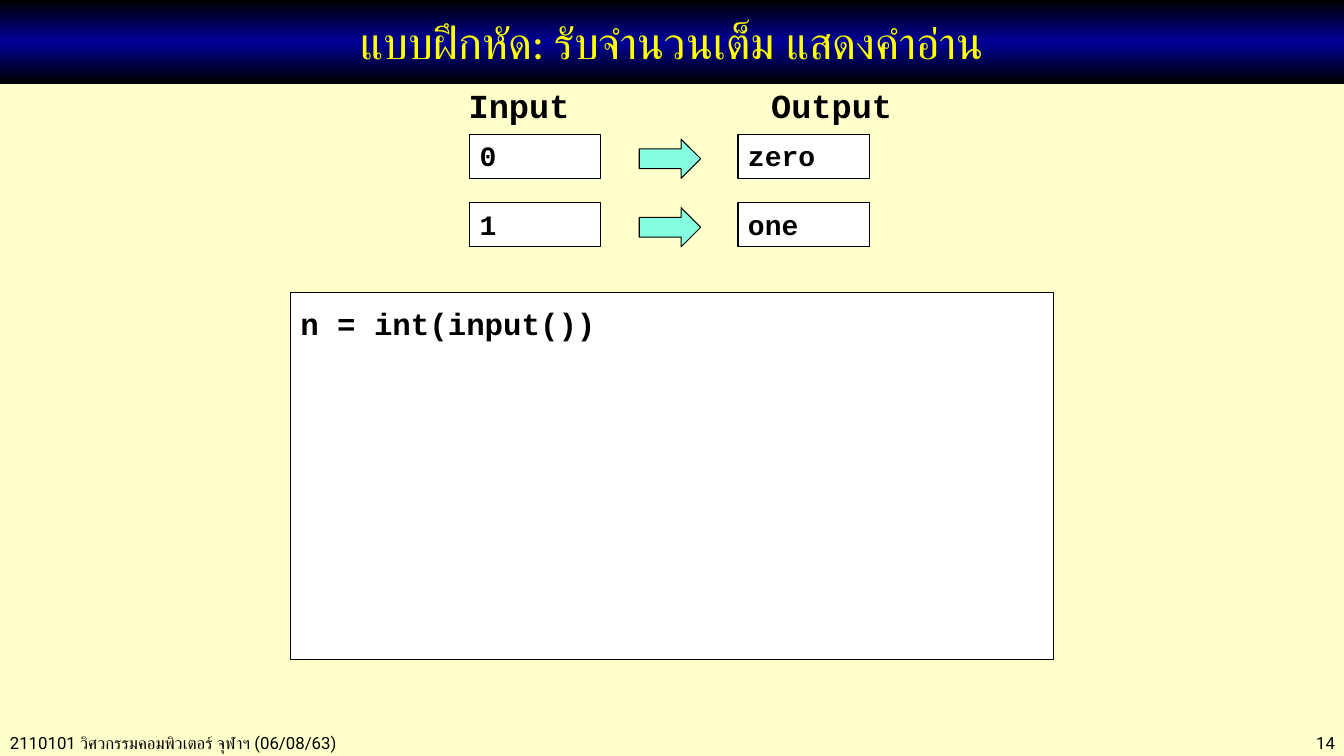
"""Build the exercise slide on reading an integer and showing its word."""
from copy import deepcopy
from pptx import Presentation
from pptx.dml.color import RGBColor
from pptx.enum.shapes import MSO_SHAPE
from pptx.enum.text import MSO_ANCHOR, PP_ALIGN
from pptx.oxml.ns import qn
from pptx.util import Inches, Pt

COLORS = {
    "page": "FFFFCC", "ink": "000000", "navy": "000099",
    "title": "FFFF00", "box": "FFFFFF", "arrow": "85FFE0",
}
MONO = "Courier New"


def color(name):
    return RGBColor.from_string(COLORS[name])


def write(shape, text, size, font=MONO, ink="ink", align=PP_ALIGN.LEFT, anchor=MSO_ANCHOR.TOP):
    frame = shape.text_frame
    frame.word_wrap = True
    frame.vertical_anchor = anchor
    para = frame.paragraphs[0]
    para.alignment = align
    run = para.add_run()
    run.text = text
    run.font.size = Pt(size)
    run.font.name = font
    run.font.bold = font == MONO
    run.font.color.rgb = color(ink)
    return para


deck = Presentation()
deck.slide_width, deck.slide_height = Inches(13.33), Inches(7.5)
slide = deck.slides.add_slide(deck.slide_layouts[6])
slide.background.fill.solid()
slide.background.fill.fore_color.rgb = color("page")
shapes = slide.shapes

footer = shapes.add_textbox(Inches(0), Inches(7.22), Inches(5.2), Inches(0.3))
write(footer, "2110101 วิศวกรรมคอมพิวเตอร์ จุฬาฯ (06/08/63)", 12, "Roboto")
number = shapes.add_textbox(Inches(11.5), Inches(7.22), Inches(1.84), Inches(0.3))
write(number, "14", 12, "Roboto", align=PP_ALIGN.RIGHT)

banner = shapes.add_shape(MSO_SHAPE.RECTANGLE, 0, 0, deck.slide_width, Inches(0.83))
banner.shadow.inherit = False
banner.line.fill.background()
banner.fill.gradient()
banner.fill.gradient_angle = 90
stops = banner.element.spPr.find(qn("a:gradFill")).find(qn("a:gsLst"))
stops.insert(1, deepcopy(stops[0]))
shades = [(0, "ink"), (0.5, "navy"), (1, "ink")]
for stop, (place, shade) in zip(banner.fill.gradient_stops, shades):
    stop.position = place
    stop.color.rgb = color(shade)
write(banner, "แบบฝึกหัด: รับจำนวนเต็ม แสดงคำอ่าน", 32, "Calibri", "title",
      PP_ALIGN.CENTER, MSO_ANCHOR.MIDDLE)

for left, label in [(4.55, "Input"), (7.55, "Output")]:
    head = shapes.add_textbox(Inches(left), Inches(0.79), Inches(2), Inches(0.51))
    write(head, label, 24)

RECT, ARROW = MSO_SHAPE.RECTANGLE, MSO_SHAPE.RIGHT_ARROW
parts = [(RECT, 2.88, 2.9, 7.57, 3.64, "box", "n = int(input())", 22)]
for row, (given, word) in enumerate([("0", "zero"), ("1", "one")]):
    top = 1.33 + 0.68 * row
    parts += [
        (RECT, 4.66, top, 1.3, 0.44, "box", given, 20),
        (RECT, 7.32, top, 1.3, 0.44, "box", word, 20),
        (ARROW, 6.34, top + 0.05, 0.61, 0.39, "arrow", "", 20),
    ]

for kind, left, top, width, height, fill, text, size in parts:
    part = shapes.add_shape(kind, Inches(left), Inches(top), Inches(width), Inches(height))
    part.shadow.inherit = False
    part.fill.solid()
    part.fill.fore_color.rgb = color(fill)
    part.line.color.rgb = color("ink")
    part.line.width = Pt(0.75)
    if text:
        para = write(part, text, size)
        para.line_spacing = 1.2 if size == 22 else 1.0

deck.save("out.pptx")
